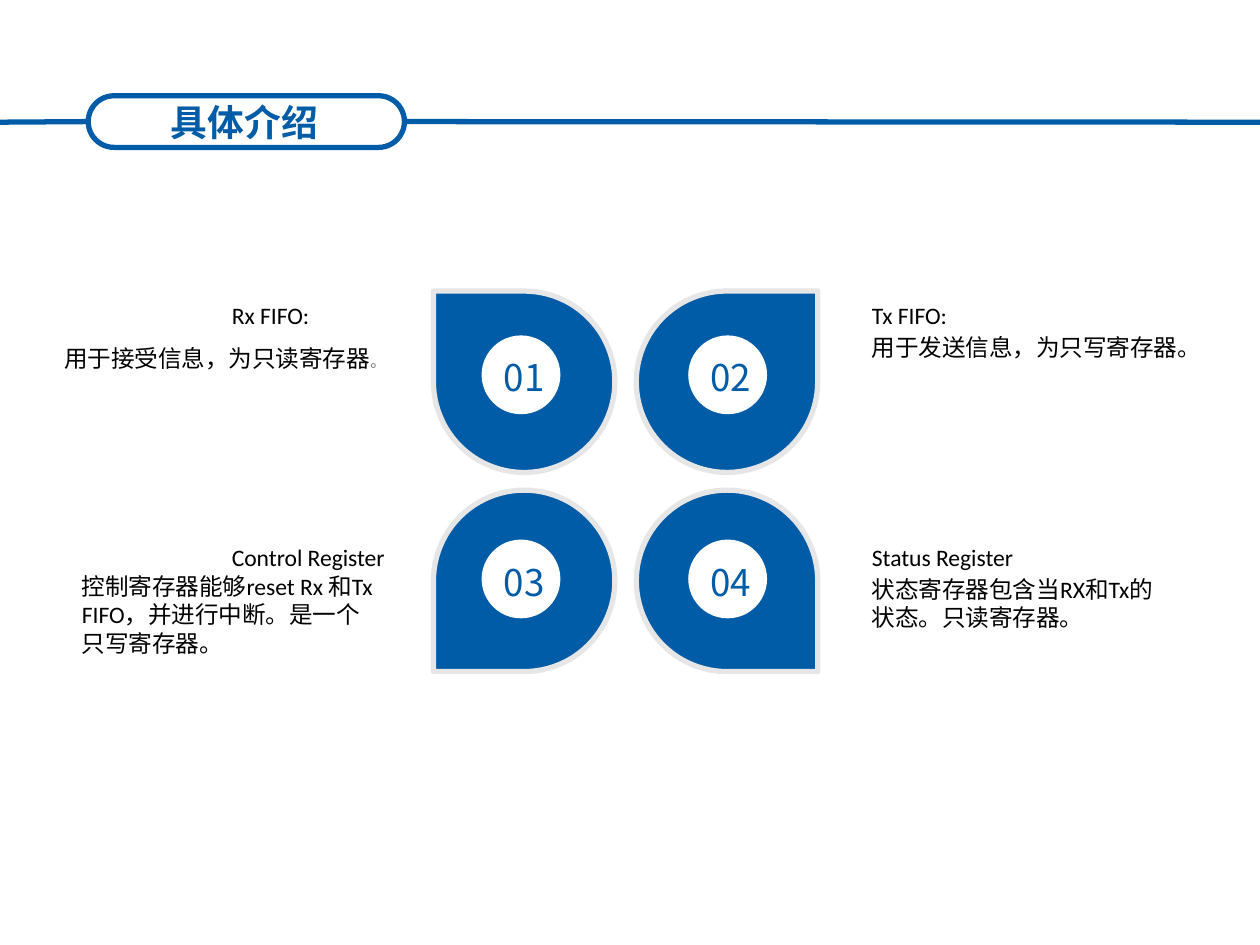
from lxml.etree import SubElement
from pptx import Presentation
from pptx.dml.color import RGBColor
from pptx.enum.shapes import MSO_CONNECTOR, MSO_SHAPE
from pptx.enum.text import MSO_ANCHOR, MSO_AUTO_SIZE, PP_ALIGN
from pptx.oxml.ns import qn
from pptx.util import Inches, Pt


def rgb(value):
    """Turn a hex string into a colour."""
    return RGBColor.from_string(value)


class SlideBuilder:
    """Hold the style and the current slide, and add each kind of element."""

    BLUE, GREY, BLACK = "005CA7", "E7E6E6", "000000"
    HEADING_FONT, BODY_FONT = "Noto Sans CJK SC", "Calibri"
    HEADING_SIZE, BODY_SIZE = 21, 13.5

    def __init__(self, presentation):
        self.slide = presentation.slides.add_slide(presentation.slide_layouts[5])

    def set_font(self, font, name, size, color):
        font.size, font.name = Pt(size), name
        font.color.rgb = rgb(color)

    def heading_font(self, paragraph):
        self.set_font(paragraph.font, self.HEADING_FONT, self.HEADING_SIZE, self.BLUE)
        properties = paragraph._p.pPr.find(qn("a:defRPr"))
        SubElement(properties, qn("a:ea"), typeface=self.HEADING_FONT)

    def title(self, text, left, top, width, height):
        title = self.slide.shapes.title
        title.left, title.top = Inches(left), Inches(top)
        title.width, title.height = Inches(width), Inches(height)
        frame = title.text_frame
        frame.text = text
        frame.auto_size = MSO_AUTO_SIZE.NONE
        frame.vertical_anchor = MSO_ANCHOR.MIDDLE
        paragraph = frame.paragraphs[0]
        paragraph.alignment = PP_ALIGN.CENTER
        self.heading_font(paragraph)
        paragraph.font.bold = True

    def shape(self, kind, left, top, width, height, fill, line, weight):
        shape = self.slide.shapes.add_shape(
            kind, Inches(left), Inches(top), Inches(width), Inches(height))
        shape.shadow.inherit = False
        if fill:
            shape.fill.solid()
            shape.fill.fore_color.rgb = rgb(fill)
        else:
            shape.fill.background()
        shape.line.color.rgb = rgb(line)
        shape.line.width = Pt(weight)
        return shape

    def line(self, start, end, y):
        connector = self.slide.shapes.add_connector(
            MSO_CONNECTOR.STRAIGHT, Inches(start), Inches(y), Inches(end), Inches(y))
        connector.line.color.rgb = rgb(self.BLUE)
        connector.line.width = Pt(3)
        SubElement(connector._element.spPr, qn("a:effectLst"))
        return connector

    def text_box(self, text, left, top, width, height, wrap):
        box = self.slide.shapes.add_textbox(
            Inches(left), Inches(top), Inches(width), Inches(height))
        frame = box.text_frame
        frame.word_wrap = wrap
        frame.auto_size = MSO_AUTO_SIZE.SHAPE_TO_FIT_TEXT
        frame.text = text
        return frame

    def number(self, text, left, top):
        frame = self.text_box(text, left, top, 0.55, 0.45, False)
        self.heading_font(frame.paragraphs[0])

    def body(self, text, left, top, width, height, wrap=True):
        frame = self.text_box(text, left, top, width, height, wrap)
        frame.margin_left = frame.margin_right = Inches(0.07)
        frame.margin_top = frame.margin_bottom = Inches(0.04)
        paragraph = frame.paragraphs[0]
        self.set_font(paragraph.font, self.BODY_FONT, self.BODY_SIZE, self.BLACK)
        return paragraph

    def petal(self, label, column, row, rotation):
        left, top = 3.44 + 1.61 * column, 2.31 + 1.58 * row
        teardrop = self.shape(
            MSO_SHAPE.TEAR, left, top, 1.44, 1.44, self.BLUE, self.GREY, 3)
        teardrop.rotation = rotation
        left, top = 3.83 + 1.64 * column, 2.67 + 1.62 * row
        self.shape(MSO_SHAPE.OVAL, left, top, 0.61, 0.61, "FFFFFF", "FEFEFE", 1.13)
        self.number(label, left + 0.07, top + 0.1)


def main():
    """Build the slide and save it."""
    presentation = Presentation()
    presentation.slide_width, presentation.slide_height = Inches(10), Inches(7.5)
    builder = SlideBuilder(presentation)

    builder.title("具体介绍", 0.67, 0.74, 2.54, 0.45)
    capsule = builder.shape(
        MSO_SHAPE.ROUNDED_RECTANGLE, 0.7, 0.76, 2.51, 0.41, None, builder.BLUE, 3)
    capsule.adjustments[0] = 0.5
    builder.line(0, 0.7, 0.97).end_connect(capsule, 1)
    builder.line(3.21, 10, 0.97).begin_connect(capsule, 3)

    for index, rotation in enumerate((270, 0, 180, 90)):
        row, column = divmod(index, 2)
        builder.petal(f"{index + 1:02}", column, row, rotation)

    for text, left, top, width in (
        ("Rx FIFO:", 1.77, 2.35, 0.78),
        ("Tx FIFO:", 6.85, 2.35, 0.76),
        ("Control Register", 1.77, 4.27, 1.39),
        ("Status Register", 6.85, 4.27, 1.29),
    ):
        builder.body(text, left, top, width, 0.3, wrap=False)

    receive = builder.body("用于接受信息，为只读寄存器", 0.38, 2.58, 2.69, 0.38)
    receive.alignment = PP_ALIGN.CENTER
    receive.line_spacing = 1.5
    full_stop = receive.add_run()
    full_stop.text = "。"
    builder.set_font(full_stop.font, builder.HEADING_FONT, 9, "767171")

    for text, left, top, width, height in (
        ("用于发送信息，为只写寄存器。", 6.85, 2.6, 2.7, 0.3),
        ("控制寄存器能够reset Rx 和Tx FIFO，并进行中断。是一个只写寄存器。",
         0.58, 4.5, 2.49, 0.76),
        ("状态寄存器包含当RX和Tx的状态。只读寄存器。", 6.85, 4.52, 2.49, 0.53),
    ):
        builder.body(text, left, top, width, height)

    presentation.save("out.pptx")


if __name__ == "__main__":
    main()
